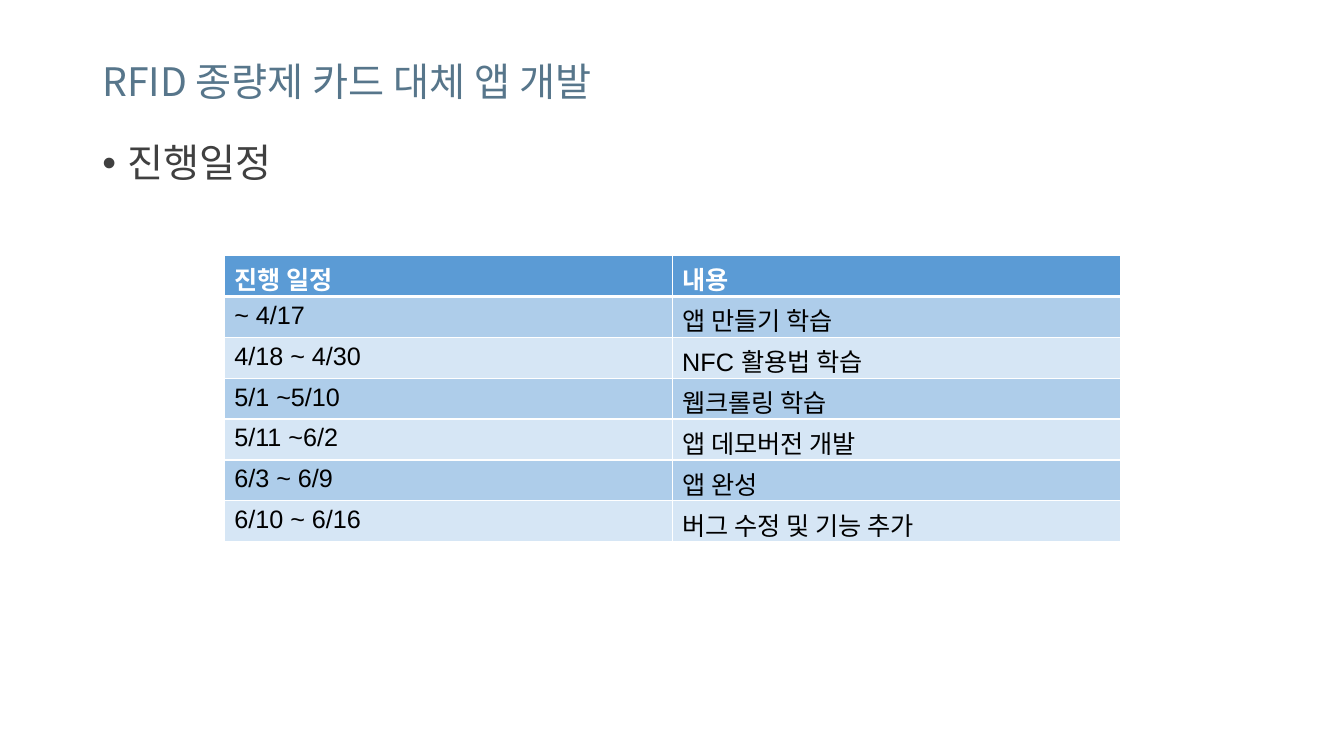
import pptx
import pptx.dml.color
import pptx.enum.text
import pptx.oxml
import pptx.oxml.ns
import pptx.util
from pptx.util import Cm

COLORS = {
    "title": "57768B", "body": "404040", "black": "000000", "white": "FFFFFF",
    "header": "5B9BD5", "band_dark": "AECDEA", "band_light": "D6E6F5",
}
KOREAN_FONT = "Noto Sans CJK KR"
TABLE_FONT = "Arial"

SCHEDULE = [
    ("진행 일정", "내용"),
    ("~ 4/17", "앱 만들기 학습"),
    ("4/18 ~ 4/30", "NFC 활용법 학습"),
    ("5/1 ~5/10", "웹크롤링 학습"),
    ("5/11 ~6/2", "앱 데모버전 개발"),
    ("6/3 ~ 6/9", "앱 완성"),
    ("6/10 ~ 6/16", "버그 수정 및 기능 추가"),
]


def rgb(name):
    return pptx.dml.color.RGBColor.from_string(COLORS[name])


def xml(markup):
    head, rest = markup.split(" ", 1)
    return pptx.oxml.parse_xml(f"{head} {pptx.oxml.ns.nsdecls('a')} {rest}")


def write(frame, text, *, size, color, font=KOREAN_FONT, bold=False):
    """Fill the first paragraph of a text frame and return it."""
    paragraph = frame.paragraphs[0]
    run = paragraph.add_run()
    run.text = text
    run.font.size = pptx.util.Pt(size)
    run.font.bold = bold
    run.font.name = font
    run.font.color.rgb = rgb(color)
    run.font._element.find(pptx.oxml.ns.qn("a:latin")).addnext(
        xml(f'<a:ea typeface="{KOREAN_FONT}"/>'))
    return paragraph


class SlideBuilder:
    def __init__(self, slide):
        self.slide = slide
        self.heading_size = 28
        self.table_size = 18

    def heading(self, text, left, top, width, height, *, color, middle=False, bullet=False):
        shape = self.slide.shapes.add_textbox(left, top, width, height)
        frame = shape.text_frame
        frame.word_wrap = True
        anchors = pptx.enum.text.MSO_ANCHOR
        frame.vertical_anchor = anchors.MIDDLE if middle else anchors.TOP
        paragraph = write(frame, text, size=self.heading_size, color=color)
        paragraph.line_spacing = 0.9
        paragraph.space_before = pptx.util.Pt(10)
        if bullet:
            properties = paragraph._p.get_or_add_pPr()
            properties.set("marL", str(Cm(0.64)))
            properties.set("indent", str(-Cm(0.64)))
            properties.append(xml('<a:buFont typeface="Arial"/>'))
            properties.append(xml('<a:buChar char="•"/>'))

    def borders(self, cell, **widths):
        properties = cell._tc.get_or_add_tcPr()
        for side in "LRTB":
            width = pptx.util.Pt(widths.get(side, 1))
            properties.append(xml(
                f'<a:ln{side} w="{width}"><a:solidFill><a:srgbClr val="{COLORS["white"]}"/>'
                f'</a:solidFill></a:ln{side}>'))

    def table(self, rows, left, top, width, row_height):
        table = self.slide.shapes.add_table(
            len(rows), len(rows[0]), left, top, width, row_height * len(rows)).table
        for row_index, row in enumerate(rows):
            table.rows[row_index].height = row_height
            is_header = row_index == 0
            band = "band_dark" if row_index % 2 else "band_light"
            edges = {0: {"B": 3}, 1: {"T": 3}}.get(row_index, {})
            for column_index, text in enumerate(row):
                cell = table.cell(row_index, column_index)
                self.borders(cell, **edges)
                cell.fill.solid()
                cell.fill.fore_color.rgb = rgb("header" if is_header else band)
                write(cell.text_frame, text, size=self.table_size, font=TABLE_FONT,
                      color="white" if is_header else "black", bold=is_header)


presentation = pptx.Presentation()
presentation.slide_width = Cm(33.87)
presentation.slide_height = Cm(19.05)
builder = SlideBuilder(presentation.slides.add_slide(presentation.slide_layouts[6]))

# Title and subject
builder.heading("RFID 종량제 카드 대체 앱 개발", Cm(2.33), Cm(0.28), Cm(29.21), Cm(3.68),
                color="title", middle=True)
builder.heading("진행일정", Cm(2.33), Cm(3.5), Cm(29.21), Cm(12.09),
                color="body", bullet=True)

# Schedule table
builder.table(SCHEDULE, Cm(5.65), Cm(6.44), Cm(22.58), Cm(1.03))

presentation.save("out.pptx")
